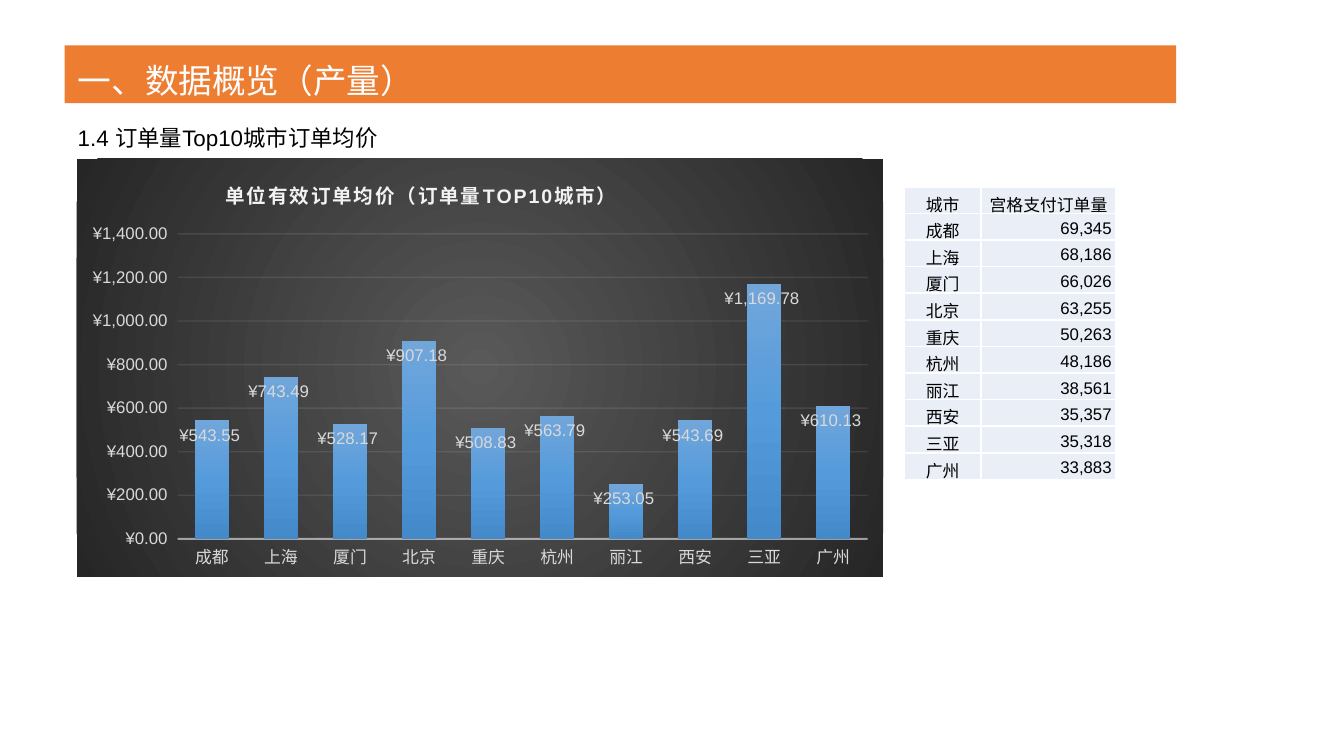
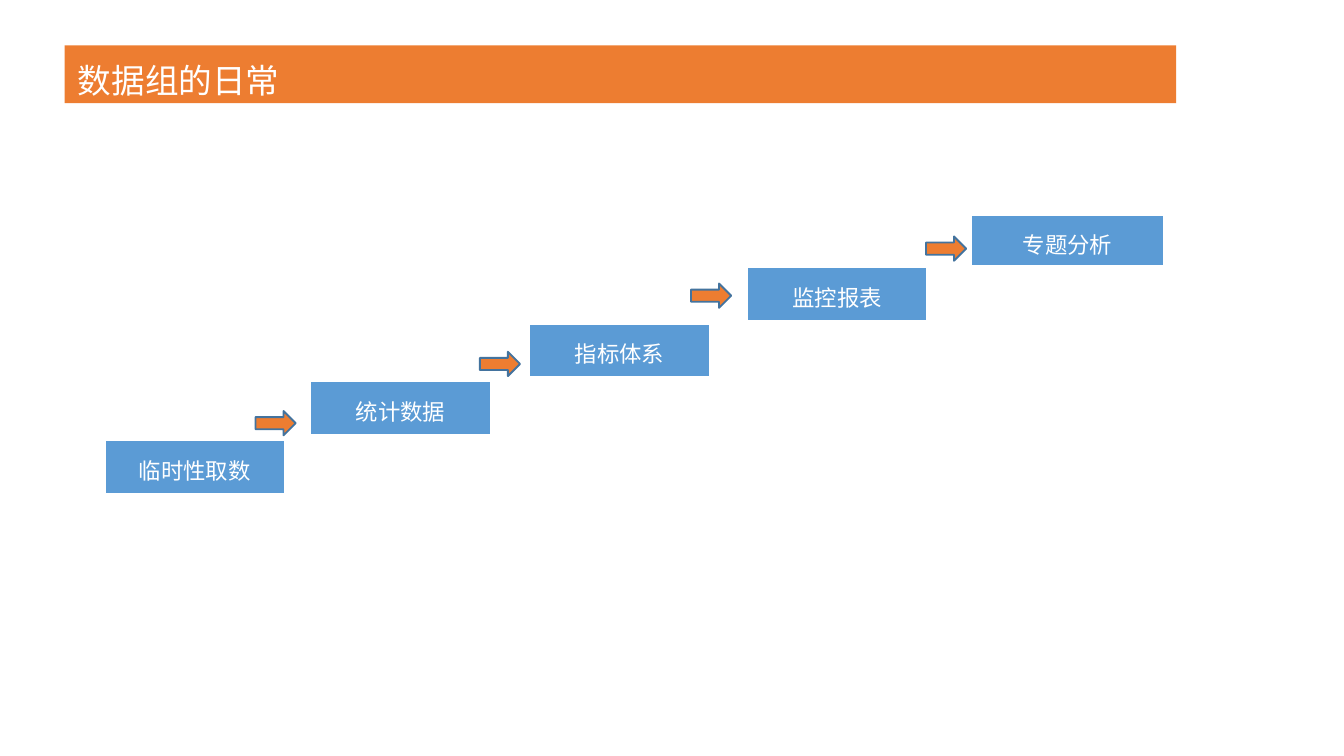
from pptx import Presentation, util as u
from pptx.chart.data import CategoryChartData
from pptx.dml.color import RGBColor
from pptx.enum import chart as ch, shapes, text
from pptx.oxml import parse_xml
from pptx.oxml.ns import nsdecls, qn

Cm, Pt = u.Cm, u.Pt
ORANGE = RGBColor(0xED, 0x7D, 0x31)
BLUE = RGBColor(0x5B, 0x9B, 0xD5)
EDGE = RGBColor(0x43, 0x73, 0x9E)
PALE = RGBColor(0xEA, 0xEF, 0xF7)
WHITE = RGBColor(0xFF, 0xFF, 0xFF)
BLACK = RGBColor(0, 0, 0)
MIST = RGBColor(0xF2, 0xF2, 0xF2)
GREY = RGBColor(0xD9, 0xD9, 0xD9)
DARK = (0, RGBColor(0x59, 0x59, 0x59)), (100, RGBColor(0x26, 0x26, 0x26))
BARS = ((0, RGBColor(0x71, 0xA6, 0xDB)), (50, RGBColor(0x55, 0x9B, 0xDB)),
        (100, RGBColor(0x44, 0x8A, 0xCA)))
FONT = "Arial"
YUAN = '"¥"#,##0.00_);[Red]\\("¥"#,##0.00\\)'
LEFT, CENTER, RIGHT = (text.PP_ALIGN.LEFT, text.PP_ALIGN.CENTER,
                       text.PP_ALIGN.RIGHT)

CITIES = [("成都", 543.55, 69345), ("上海", 743.49, 68186),
          ("厦门", 528.17, 66026), ("北京", 907.18, 63255),
          ("重庆", 508.83, 50263), ("杭州", 563.79, 48186),
          ("丽江", 253.05, 38561), ("西安", 543.69, 35357),
          ("三亚", 1169.78, 35318), ("广州", 610.13, 33883)]

# Each step: label, offset from the stair's corner, size (cm)
STEPS = [("临时性取数", 0, 4.27, 3.4, 1.04), ("统计数据", 3.89, 3.15, 3.4, 1.04),
         ("指标体系", 8.03, 2.06, 3.4, 1.04), ("监控报表", 12.14, 0.99, 3.4, 1.04),
         ("专题分析", 16.38, 0, 3.63, 0.97)]
ARROWS = [(2.85, 3.71), (7.09, 2.59), (11.08, 1.3), (15.52, 0.41)]


def style(font, size, color, bold=False):
    """Set the face, size and colour of a font."""
    font.name, font.size, font.bold = FONT, Pt(size), bold
    font.color.rgb = color


def write(frame, words, size=12, color=BLACK, align=LEFT, bold=False, gap=1.2):
    """Put one formatted paragraph in a text frame."""
    para = frame.paragraphs[0]
    para.alignment, para.line_spacing = align, gap
    run = para.add_run()
    run.text = words
    style(run.font, size, color, bold)


def border(cell, **widths):
    """Draw white cell borders; keys are L, R, T, B, in points."""
    props = cell._tc.get_or_add_tcPr()
    for i, side in enumerate("LRTB"):
        props.insert(i, parse_xml(
            f'<a:ln{side} {nsdecls("a")} w="{Pt(widths[side])}"><a:solidFill>'
            f'<a:srgbClr val="{WHITE}"/></a:solidFill></a:ln{side}>'))


def blend(stops, tail):
    """Make a gradient fill element from (percent, colour) stops."""
    marks = "".join(f'<a:gs pos="{p * 1000}"><a:srgbClr val="{c}"/></a:gs>'
                    for p, c in stops)
    return parse_xml(f'<a:gradFill {nsdecls("a")} rotWithShape="1">'
                     f'<a:gsLst>{marks}</a:gsLst>{tail}</a:gradFill>')


def fade(root, query, share):
    """Make the colours found by a query partly transparent."""
    for node in root.xpath(query + "//a:srgbClr"):
        node.append(parse_xml(
            f'<a:alpha {nsdecls("a")} val="{share * 1000}"/>'))


def pin(node, spot, **parts):
    """Give a chart part a manual layout, as shares of the chart."""
    for old in node.findall(qn("c:layout")):
        node.remove(old)
    inner = '<c:layoutTarget val="inner"/>' if "w" in parts else ""
    modes = "".join(f'<c:{k}Mode val="edge"/>' for k in "xy")
    sizes = "".join(f'<c:{k} val="{v}"/>' for k, v in parts.items())
    node.insert(spot, parse_xml(
        f'<c:layout {nsdecls("c")}><c:manualLayout>{inner}{modes}{sizes}'
        '</c:manualLayout></c:layout>'))


def grid(slide, rows, cols, x, y, w, h):
    """Add a plain table without banding."""
    table = slide.shapes.add_table(rows, cols, Cm(x), Cm(y), Cm(w), Cm(h)).table
    table.first_row = table.horz_banding = False
    return table


def paint(cell, color):
    """Fill a cell."""
    cell.fill.solid()
    cell.fill.fore_color.rgb = color


def page(deck, words):
    """Add a slide with its orange title band."""
    slide = deck.slides.add_slide(deck.slide_layouts[5])
    band = slide.shapes.title
    band.left, band.top, band.width, band.height = (
        Cm(1.22), Cm(0.86), Cm(21.01), Cm(1.09))
    band.fill.solid()
    band.fill.fore_color.rgb = ORANGE
    frame = band.text_frame
    frame.auto_size = text.MSO_AUTO_SIZE.NONE
    frame.vertical_anchor = text.MSO_ANCHOR.TOP
    write(frame, words, size=18, color=WHITE)
    return slide


def label(slide, words, x, y, w, h):
    """Add the section heading under the band."""
    frame = slide.shapes.add_textbox(Cm(x), Cm(y), Cm(w), Cm(h)).text_frame
    frame.word_wrap = True
    write(frame, words)


def prices(slide, x, y, w, h):
    """Add the dark column chart of order prices by city."""
    data = CategoryChartData(number_format=YUAN)
    data.categories = [city for city, _, _ in CITIES]
    data.add_series("Series 1", [price for _, price, _ in CITIES])
    chart = slide.shapes.add_chart(ch.XL_CHART_TYPE.COLUMN_CLUSTERED,
                                   Cm(x), Cm(y), Cm(w), Cm(h), data).chart
    root = chart.element
    style(chart.font, 9, BLACK)
    chart.has_legend = False
    write(chart.chart_title.text_frame, "单位有效订单均价（订单量TOP10城市）",
          size=10.5, color=MIST, align=CENTER, bold=True, gap=1)
    root.xpath(".//c:title//a:rPr")[0].set("spc", "100")

    plot = chart.plots[0]
    plot.gap_width, plot.overlap = 100, -24
    plot.vary_by_categories = False
    plot.has_data_labels = True
    tags = plot.data_labels
    tags.show_value = True
    tags.position = ch.XL_LABEL_POSITION.INSIDE_END
    tags.number_format, tags.number_format_is_linked = YUAN, False
    style(tags.font, 9, GREY)

    cats, vals = chart.category_axis, chart.value_axis
    for axis in (cats, vals):
        axis.major_tick_mark = axis.minor_tick_mark = ch.XL_TICK_MARK.NONE
        style(axis.tick_labels.font, 9, GREY)
    vals.minimum_scale, vals.maximum_scale, vals.major_unit = 0, 1400, 200
    vals.tick_labels.number_format = YUAN
    vals.tick_labels.number_format_is_linked = False
    vals.format.line.fill.background()
    for line, width in ((cats.format.line, 1),
                        (vals.major_gridlines.format.line, 0.75)):
        line.width = Pt(width)
        line.color.rgb = MIST
    fade(root, ".//c:catAx/c:spPr/a:ln", 54)
    fade(root, ".//c:majorGridlines", 10)

    plot.series[0].format.fill.background()
    blank = root.xpath(".//c:ser/c:spPr/a:noFill")[0]
    blank.getparent().replace(blank, blend(BARS, '<a:lin ang="5400000"/>'))
    back = parse_xml(f'<c:spPr {nsdecls("c", "a")}><a:ln><a:noFill/></a:ln>'
                     '</c:spPr>')
    back.insert(0, blend(DARK, '<a:path path="circle"><a:fillToRect l="50000" '
                               't="50000" r="50000" b="50000"/></a:path>'))
    root.find(qn("c:chart")).addnext(back)
    pin(root.xpath(".//c:title")[0], 1, x=0.18, y=0.04)
    pin(root.xpath(".//c:plotArea")[0], 0, x=0.125, y=0.18, w=0.856, h=0.73)


def orders(slide, x, y, w, h):
    """Add the table of paid orders by city."""
    rows = [("城市", "宫格支付订单量")]
    rows += [(city, f"{count:,}") for city, _, count in CITIES]
    table = grid(slide, len(rows), 2, x, y, w, h)
    table.columns[0].width, table.columns[1].width = Cm(1.45), Cm(w - 1.45)
    for r, row in enumerate(rows):
        for c, words in enumerate(row):
            cell = table.cell(r, c)
            number = r > 0 and c == 1
            cell.margin_left = cell.margin_top = cell.margin_bottom = 0
            cell.margin_right = Cm(0.08 if number else 0)
            cell.vertical_anchor = text.MSO_ANCHOR.MIDDLE
            paint(cell, PALE)
            border(cell, L=1, R=1, T=1, B=1)
            write(cell.text_frame, words, size=9,
                  align=RIGHT if number else CENTER)


def stairs(slide, x, y):
    """Add the rising steps and the arrows between them."""
    for words, dx, dy, w, h in STEPS:
        cell = grid(slide, 1, 1, x + dx, y + dy, w, h).cell(0, 0)
        paint(cell, BLUE)
        border(cell, L=1, R=1, T=1, B=3)
        write(cell.text_frame, words, color=WHITE, align=CENTER)
    for dx, dy in ARROWS:
        arrow = slide.shapes.add_shape(shapes.MSO_SHAPE.RIGHT_ARROW, Cm(x + dx),
                                       Cm(y + dy), Cm(0.76), Cm(0.46))
        arrow.shadow.inherit = False
        arrow.fill.solid()
        arrow.fill.fore_color.rgb = ORANGE
        arrow.line.color.rgb = EDGE
        arrow.line.width = Pt(1)


def main():
    """Build and save the deck."""
    deck = Presentation()
    deck.slide_width, deck.slide_height = Cm(25.4), Cm(14.29)
    slide = page(deck, "一、数据概览（产量）")
    label(slide, "1.4 订单量Top10城市订单均价", 1.22, 2.13, 12.24, 0.81)
    prices(slide, 1.45, 3, 15.24, 7.9)
    orders(slide, 17.09, 3.53, 4, 5.54)
    stairs(page(deck, "数据组的日常"), 1.98, 4.06)
    deck.save("out.pptx")


main()
